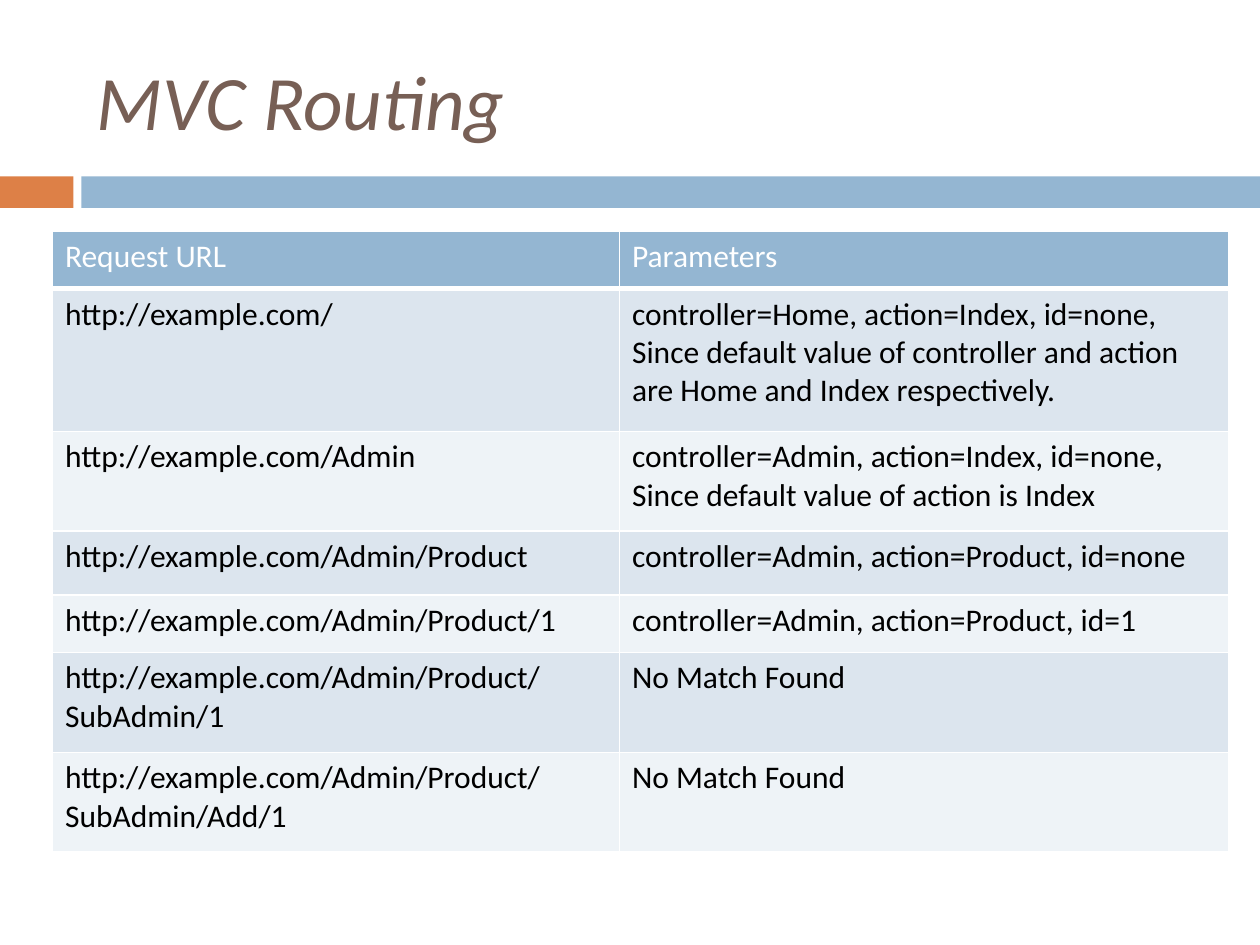
"""Build the MVC Routing slide with its table of request URLs."""
from pptx import Presentation
from pptx.dml.color import RGBColor
from pptx.enum.shapes import MSO_SHAPE as Shape
from pptx.enum.text import MSO_ANCHOR as Anchor, PP_ALIGN as Align
from pptx.oxml.ns import qn
from pptx.util import Pt
from lxml.etree import SubElement

ORANGE = RGBColor(0xDD, 0x80, 0x47)
BLUE = RGBColor(0x94, 0xB6, 0xD2)
BROWN = RGBColor(0x77, 0x5F, 0x55)
WHITE = RGBColor(0xFF, 0xFF, 0xFF)
BLACK = RGBColor(0x00, 0x00, 0x00)
BANDS = (RGBColor(0xDC, 0xE5, 0xEE), RGBColor(0xEE, 0xF3, 0xF7))

COLUMN_WIDTHS = (324, 348)
ROW_HEIGHTS = (33, 81.5, 57, 36.5, 33, 57, 57)
ROUTES = (
    ("Request URL", "Parameters"),
    ("http://example.com/",
     "controller=Home, action=Index, id=none, Since default value of "
     "controller and action are Home and Index respectively."),
    ("http://example.com/Admin",
     "controller=Admin, action=Index, id=none, Since default value of action is Index"),
    ("http://example.com/Admin/Product", "controller=Admin, action=Product, id=none"),
    ("http://example.com/Admin/Product/1", "controller=Admin, action=Product, id=1"),
    ("http://example.com/Admin/Product/SubAdmin/1", "No Match Found"),
    ("http://example.com/Admin/Product/SubAdmin/Add/1", "No Match Found"),
)


class SlideBuilder:
    def __init__(self, page, font="Calibri"):
        self.page = page
        self.font = font

    def add_text(self, frame, text, size, color, italic=False):
        para = frame.paragraphs[0]
        para.alignment = Align.LEFT
        span = para.add_run()
        span.text = text
        span.font.name = self.font
        span.font.size = Pt(size)
        span.font.bold = False
        span.font.italic = italic
        span.font.color.rgb = color

    def bar(self, left, top, width, height, color):
        box = self.page.shapes.add_shape(
            Shape.RECTANGLE, Pt(left), Pt(top), Pt(width), Pt(height))
        box.shadow.inherit = False
        box.fill.solid()
        box.fill.fore_color.rgb = color
        box.line.fill.background()

    def title(self, text, left, top, width, height):
        box = self.page.shapes.title
        box.left, box.top, box.width, box.height = map(Pt, (left, top, width, height))
        box.text_frame.vertical_anchor = Anchor.MIDDLE
        self.add_text(box.text_frame, text, 44, BROWN, italic=True)

    def borders(self, cell, **widths):
        properties = cell._tc.get_or_add_tcPr()
        for side in "LRTB":
            line = SubElement(properties, qn(f"a:ln{side}"), w=str(Pt(widths.get(side, 1))))
            fill = SubElement(line, qn("a:solidFill"))
            SubElement(fill, qn("a:srgbClr"), val=str(WHITE))

    def table(self, rows, left, top, widths, heights):
        grid = self.page.shapes.add_table(
            len(rows), len(widths), Pt(left), Pt(top),
            Pt(sum(widths)), Pt(sum(heights))).table
        for column, width in zip(grid.columns, widths):
            column.width = Pt(width)
        for index, (texts, height) in enumerate(zip(rows, heights)):
            grid.rows[index].height = Pt(height)
            header = index == 0
            for cell, text in zip(grid.rows[index].cells, texts):
                self.borders(cell, T=3 if index == 1 else 1, B=3 if header else 1)
                cell.fill.solid()
                cell.fill.fore_color.rgb = BLUE if header else BANDS[(index - 1) % 2]
                self.add_text(cell.text_frame, text, 18, WHITE if header else BLACK)


def main():
    deck = Presentation()
    deck.slide_width, deck.slide_height = Pt(720), Pt(540)
    builder = SlideBuilder(deck.slides.add_slide(deck.slide_layouts[5]))
    builder.bar(0, 100.8, 42, 18, ORANGE)
    builder.bar(46.5, 100.8, 673.5, 18, BLUE)
    builder.title("MVC Routing", 48, 18, 642, 78)
    builder.table(ROUTES, 30, 132, COLUMN_WIDTHS, ROW_HEIGHTS)
    deck.save("out.pptx")


if __name__ == "__main__":
    main()
